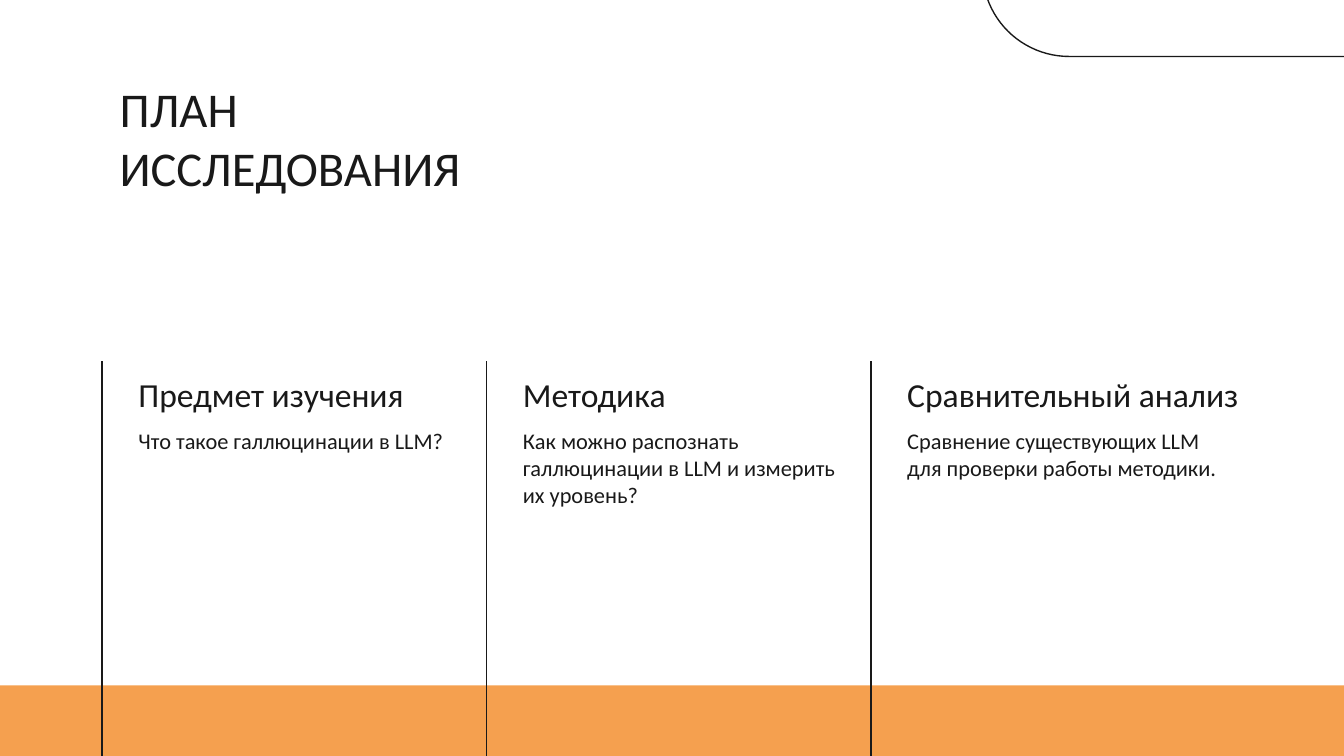
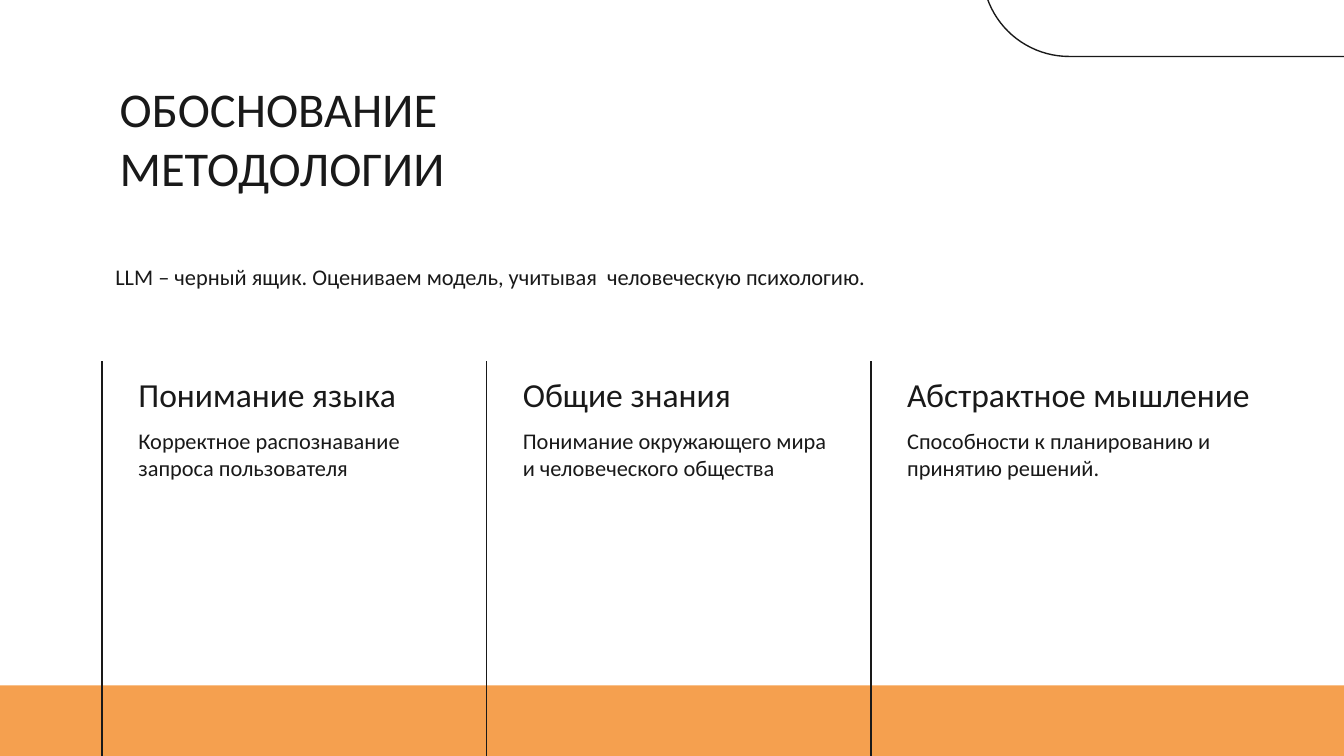
from copy import deepcopy

from lxml import etree
from pptx import Presentation
from pptx.dml.color import RGBColor
from pptx.enum.shapes import MSO_CONNECTOR, MSO_SHAPE
from pptx.enum.text import MSO_ANCHOR, MSO_AUTO_SIZE, PP_ALIGN
from pptx.oxml.ns import qn
from pptx.util import Inches, Pt

TOP, BOTTOM = MSO_ANCHOR.TOP, MSO_ANCHOR.BOTTOM
LEFT = PP_ALIGN.LEFT
NO_FIT = MSO_AUTO_SIZE.NONE
RECT, ROUND = MSO_SHAPE.RECTANGLE, MSO_SHAPE.ROUNDED_RECTANGLE
STRAIGHT = MSO_CONNECTOR.STRAIGHT

COLORS = {"ink": "191919", "band": "F5A04F"}
FONT = "Calibri"
INK = RGBColor.from_string(COLORS["ink"])

GRID_LEFT, GRID_TOP, COL = 0.76, 2.69, 2.86
COL_PAD, TEXT_W = 0.17, 2.57
HEAD_IDX, BODY_IDX = 20, 30

SLIDES = [
    {
        "title": "ПЛАН ИССЛЕДОВАНИЯ",
        "columns": [
            ("Предмет изучения", "Что такое галлюцинации в LLM?"),
            ("Методика", "Как можно распознать галлюцинации в LLM и измерить их уровень?"),
            ("Сравнительный анализ", "Сравнение существующих LLM для проверки работы методики."),
        ],
    },
    {
        "title": "ОБОСНОВАНИЕ МЕТОДОЛОГИИ",
        "columns": [
            ("Понимание языка", "Корректное распознавание запроса пользователя"),
            ("Общие знания", "Понимание окружающего мира и человеческого общества"),
            ("Абстрактное мышление", "Способности к планированию и принятию решений."),
        ],
        "note": "LLM – черный ящик. Оцениваем модель, учитывая  человеческую психологию.",
    },
]


def place(sp, box, anchor):
    sp.left, sp.top, sp.width, sp.height = [Inches(v) for v in box]
    tf = sp.text_frame
    tf.word_wrap = True
    tf.auto_size = NO_FIT
    tf.vertical_anchor = anchor
    tf.margin_left = tf.margin_right = tf.margin_top = tf.margin_bottom = Inches(0.1)


def write(sp, text, size):
    p = sp.text_frame.paragraphs[0]
    p.alignment = LEFT
    p.space_before = Pt(0)
    r = p.add_run()
    r.text = text
    r.font.name = FONT
    r.font.size = Pt(size)
    r.font.bold = False
    r.font.color.rgb = INK


prs = Presentation()
prs.slide_width = Inches(10)
prs.slide_height = prs.slide_width * 9 // 16

layout = prs.slide_layouts[4]
tree = layout.shapes.element
pattern = deepcopy(layout.placeholders.get(idx=1).element)
for ph in list(layout.placeholders):
    if ph.placeholder_format.idx:
        tree.remove(ph.element)

place(layout.placeholders.get(idx=0), (0.79, 0.49, 3.5, 1.4), TOP)
for i in range(3):
    x = GRID_LEFT + i * COL + COL_PAD
    head_w = 3.24 if i == 2 else TEXT_W
    for idx, box, anchor in [
        (HEAD_IDX + i, (x, GRID_TOP, head_w, 0.49), BOTTOM),
        (BODY_IDX + i, (x, GRID_TOP + 0.39, TEXT_W, 1.35), TOP),
    ]:
        el = deepcopy(pattern)
        el.xpath(".//p:ph")[0].set("idx", str(idx))
        el.xpath(".//p:cNvPr")[0].set("id", str(idx))
        tree.append(el)
        place(layout.placeholders.get(idx=idx), box, anchor)

slides = [prs.slides.add_slide(layout) for _ in SLIDES]

shapes = slides[0].shapes
band = shapes.add_shape(RECT, Inches(-0.01), Inches(5.1), Inches(10.01), Inches(0.6))
band.fill.solid()
band.fill.fore_color.rgb = RGBColor.from_string(COLORS["band"])
band.line.fill.background()
tab = shapes.add_shape(ROUND, Inches(7.31), Inches(-0.87), Inches(4.52), Inches(1.29))
tab.adjustments[0] = 0.5
tab.fill.background()
tab.line.color.rgb = INK
tab.line.width = Pt(0.75)
for s in (band, tab):
    s.shadow.inherit = False
    tree.append(s.element)

for slide, content in zip(slides, SLIDES):
    write(slide.shapes.title, content["title"], 26)
    for i, (head, body) in enumerate(content["columns"]):
        write(slide.placeholders[HEAD_IDX + i], head, 18)
        write(slide.placeholders[BODY_IDX + i], body, 12)
        x = Inches(GRID_LEFT + i * COL)
        rule = slide.shapes.add_connector(STRAIGHT, x, Inches(GRID_TOP), x, prs.slide_height)
        rule.line.color.rgb = INK
        rule.line.width = Pt(0.75)
        etree.SubElement(rule.element.spPr, qn("a:effectLst"))
    if "note" in content:
        note = slide.shapes.add_textbox(0, 0, 0, 0)
        place(note, (GRID_LEFT, 1.86, 6.52, 0.62), TOP)
        write(note, content["note"], 12)

prs.save("out.pptx")
